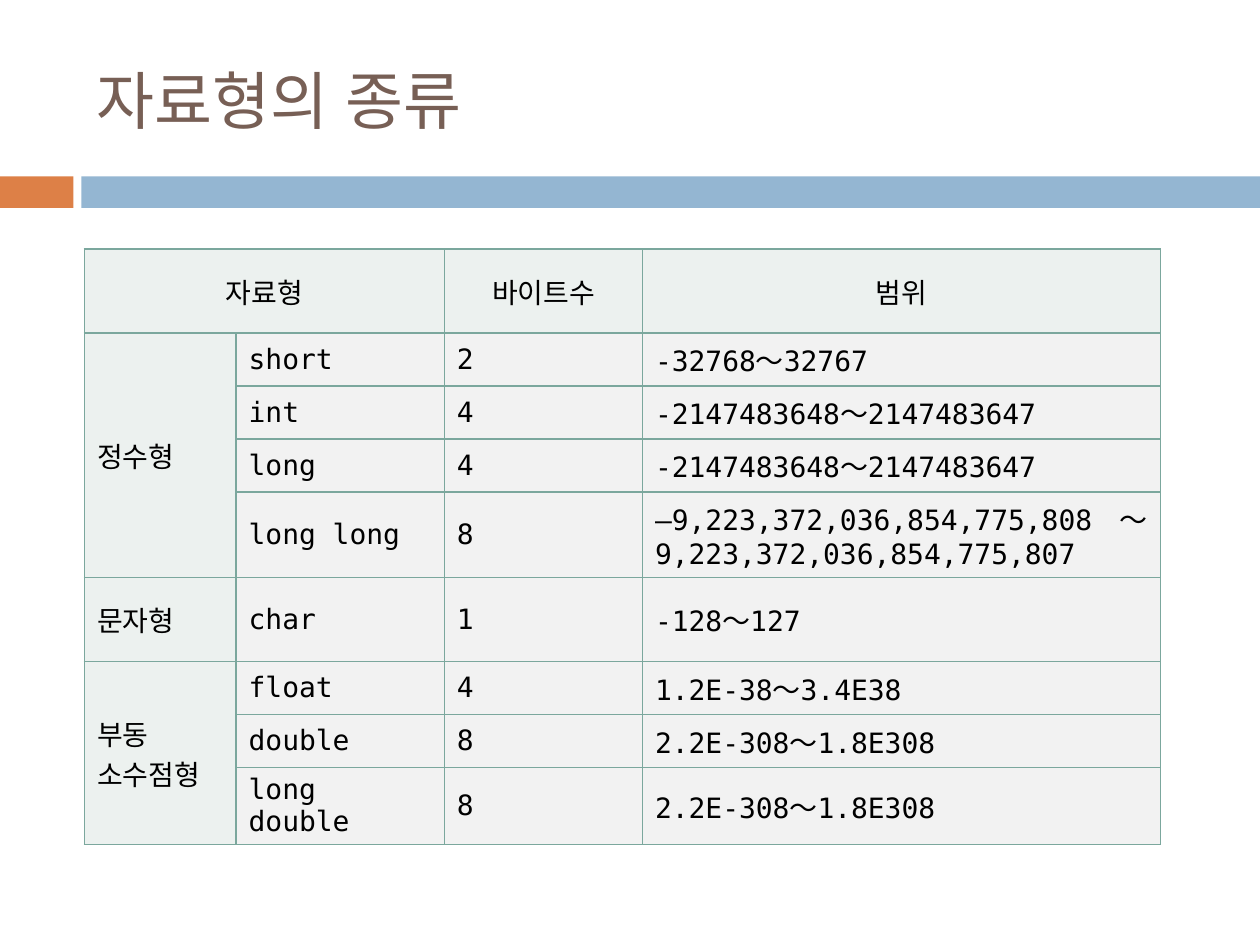
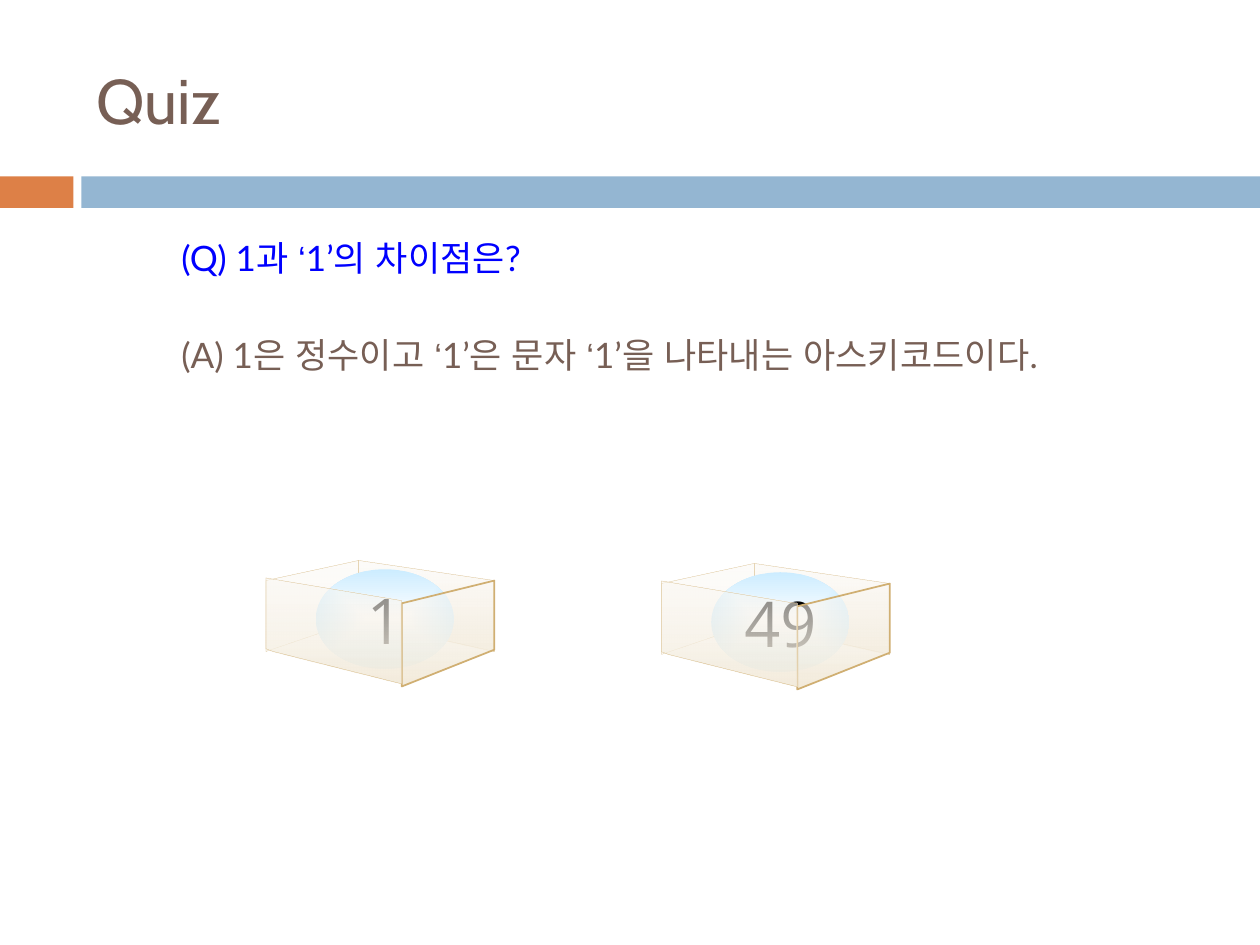
from pptx import Presentation
from pptx.dml.color import RGBColor
from pptx.enum.shapes import MSO_SHAPE
from pptx.enum.text import MSO_ANCHOR, PP_ALIGN
from pptx.oxml import parse_xml
from pptx.oxml.ns import nsdecls, qn
from pptx.util import Pt

ORANGE = RGBColor(0xDD, 0x80, 0x47)
SKY = RGBColor(0x94, 0xB6, 0xD2)
BROWN = RGBColor(0x77, 0x5F, 0x55)
BLUE = RGBColor(0x00, 0x00, 0xFF)
BLACK = RGBColor(0x00, 0x00, 0x00)
WHITE = RGBColor(0xFF, 0xFF, 0xFF)
ICE = RGBColor(0xCC, 0xEC, 0xFF)
MINT = RGBColor(0xEC, 0xF1, 0xEF)
PALE = RGBColor(0xF2, 0xF2, 0xF2)
GREEN = RGBColor(0x7B, 0xA7, 0x9D)
GOLD = RGBColor(0xD0, 0xAF, 0x72)
CREAM = RGBColor(0xFB, 0xF8, 0xF3)
SAND = RGBColor(0xF3, 0xEB, 0xDB)

MONO = "DejaVu Sans Mono"
COLS = (86.7, 119, 113.2, 296)
ROWS = (48, 28, 28, 28, 48, 48, 28, 28, 28)
CELLS = (
    ("자료형", "", "바이트수", "범위"),
    ("정수형", "short", "2", "-32768～32767"),
    ("", "int", "4", "-2147483648～2147483647"),
    ("", "long", "4", "-2147483648～2147483647"),
    ("", "long long", "8",
     "–9,223,372,036,854,775,808～ 9,223,372,036,854,775,807"),
    ("문자형", "char", "1", "-128～127"),
    ("부동\n소수점형", "float", "4", "1.2E-38～3.4E38"),
    ("", "double", "8", "2.2E-308～1.8E308"),
    ("", "long double", "8", "2.2E-308～1.8E308"),
)
SPANS = (((0, 0), (0, 1)), ((1, 0), (4, 0)), ((6, 0), (8, 0)))

BACK = ((53, 0), (53, 34.5), (57, 35.5), (130.5, 52), (130.5, 11.5))
LEFT = ((0, 52), (53, 34), (53, 0), (0, 11.5))
RIGHT = ((77.6, 72), (130.5, 51), (130.5, 11.5), (77.6, 24.5))
FRONT = ((0, 10), (0, 50.5), (4, 52), (77.6, 70.5), (77.6, 23))


def style(frame, font, size, color, align=PP_ALIGN.LEFT):
    """Format every paragraph and run of a text frame."""
    for para in frame.paragraphs:
        para.alignment = align
        for run in para.runs:
            run.font.name = font
            run.font.size = Pt(size)
            run.font.color.rgb = color


def set_asian(frame):
    """Name the East Asian font of every run and mark it as Korean."""
    for para in frame.paragraphs:
        for run in para.runs:
            props = run._r.get_or_add_rPr()
            props.set("lang", "en-US")
            props.set("altLang", "ko-KR")
            props.append(parse_xml(
                f'<a:ea {nsdecls("a")} typeface="Arial"/>'))


def shade(shape, stops, path):
    """Give a shape a gradient of (position, colour, opacity) stops."""
    items = "".join(
        f'<a:gs pos="{pos * 1000}"><a:srgbClr val="{color}">'
        f'<a:alpha val="{alpha * 1000}"/></a:srgbClr></a:gs>'
        for pos, color, alpha in stops)
    shape.fill.background()
    props = shape.element.spPr
    props.replace(props.find(qn("a:noFill")), parse_xml(
        f'<a:gradFill {nsdecls("a")} rotWithShape="1">'
        f'<a:gsLst>{items}</a:gsLst>{path}</a:gradFill>'))


def set_frame(deck, layout):
    """Put the title place and the two bands on the layout."""
    title = layout.placeholders[0]
    title.left, title.top, title.width, title.height = (
        Pt(n) for n in (48, 18, 642, 78))
    page = deck.slides.add_slide(layout)
    for left, width, color in ((0, 42, ORANGE), (46.5, 673.5, SKY)):
        band = page.shapes.add_shape(
            MSO_SHAPE.RECTANGLE, Pt(left), Pt(100.8), Pt(width), Pt(18))
        band.shadow.inherit = False
        band.fill.solid()
        band.fill.fore_color.rgb = color
        band.line.fill.background()
        layout.shapes.element.append(band.element)
    return page


def add_title(page, text, font):
    """Fill in the title of a slide."""
    frame = page.shapes.title.text_frame
    frame.text = text
    frame.vertical_anchor = MSO_ANCHOR.MIDDLE
    style(frame, font, 36, BROWN)
    set_asian(frame)


def edge(cell):
    """Draw the four borders of a cell."""
    props = cell._tc.get_or_add_tcPr()
    for side in "LRTB":
        props.append(parse_xml(
            f'<a:ln{side} {nsdecls("a")} w="{Pt(1)}"><a:solidFill>'
            f'<a:srgbClr val="{GREEN}"/></a:solidFill></a:ln{side}>'))


def add_types(page, left, top):
    """Place the table of data types."""
    grid = page.shapes.add_table(
        len(ROWS), len(COLS), Pt(left), Pt(top),
        Pt(sum(COLS)), Pt(sum(ROWS))).table
    grid.first_row = grid.horz_banding = False
    for col, width in zip(grid.columns, COLS):
        col.width = Pt(width)
    for row, height in zip(grid.rows, ROWS):
        row.height = Pt(height)
    for r, line in enumerate(CELLS):
        for c, text in enumerate(line):
            cell = grid.cell(r, c)
            edge(cell)
            cell.fill.solid()
            cell.fill.fore_color.rgb = PALE if r and c else MINT
            cell.vertical_anchor = MSO_ANCHOR.MIDDLE
            cell.text_frame.text = text
            style(cell.text_frame, MONO, 16, BLACK,
                  PP_ALIGN.JUSTIFY if r else PP_ALIGN.CENTER)
    for start, end in SPANS:
        grid.cell(*start).merge(grid.cell(*end))


def add_note(page, text, box, indent, color):
    """Place one hanging line of the quiz."""
    frame = page.shapes.add_textbox(*(Pt(n) for n in box)).text_frame
    frame.word_wrap = True
    frame.text = text
    style(frame, "Lato", 20, color)
    set_asian(frame)
    para = frame.paragraphs[0]
    para.line_spacing = 0.9
    para.space_before = Pt(4)
    props = para._p.get_or_add_pPr()
    props.set("marL", str(Pt(indent)))
    props.set("indent", str(-Pt(indent)))


def add_face(page, left, top, points, alpha, weight=0.1):
    """Draw one glass side of a box."""
    spots = [(Pt(left + x), Pt(top + y)) for x, y in points]
    pen = page.shapes.build_freeform(*spots[0])
    pen.add_line_segments(spots[1:], close=True)
    face = pen.convert_to_shape()
    face.shadow.inherit = False
    shade(face, ((0, CREAM, 50), (100, SAND, alpha)),
          '<a:lin ang="5400000" scaled="1"/>')
    face.line.color.rgb = GOLD
    face.line.width = Pt(weight)


def add_ball(page, left, top, text):
    """Draw the ball that bears a value."""
    ball = page.shapes.add_shape(
        MSO_SHAPE.OVAL, Pt(left), Pt(top), Pt(79), Pt(57))
    ball.shadow.inherit = False
    shade(ball, ((0, WHITE, 100), (100, ICE, 100)),
          '<a:path path="shape"><a:fillToRect l="50000" t="50000" '
          'r="50000" b="50000"/></a:path>')
    ball.line.fill.background()
    frame = ball.text_frame
    frame.word_wrap = False
    frame.vertical_anchor = MSO_ANCHOR.MIDDLE
    frame.text = text
    style(frame, "Open Sans", 36, BLACK, PP_ALIGN.CENTER)


def add_box(page, left, top, text):
    """Place a glass box around a ball."""
    add_face(page, left, top, BACK, 100)
    add_face(page, left, top, LEFT, 0)
    add_ball(page, left + 28.4, top + 5, text)
    add_face(page, left, top, RIGHT, 100, 1)
    add_face(page, left, top, FRONT, 95)


def main():
    """Build both slides and save them."""
    deck = Presentation()
    deck.slide_width, deck.slide_height = Pt(720), Pt(540)
    layout = deck.slide_layouts[5]

    page = set_frame(deck, layout)
    add_title(page, "자료형의 종류", "Arial")
    add_types(page, 48.25, 142.4)

    page = deck.slides.add_slide(layout)
    add_title(page, "Quiz", "Cabin")
    add_note(page, "(Q) 1과 ‘1’의 차이점은?",
             (96.5, 134.5, 464.5, 26.5), 27, BLUE)
    add_note(page, "(A) 1은 정수이고 ‘1’은 문자 ‘1’을 나타내는 아스키코드이다.",
             (96.5, 190, 536, 50.5), 30, BROWN)
    add_box(page, 152, 320.3, "1")
    add_box(page, 378, 322, "49")
    deck.save("out.pptx")


if __name__ == "__main__":
    main()
